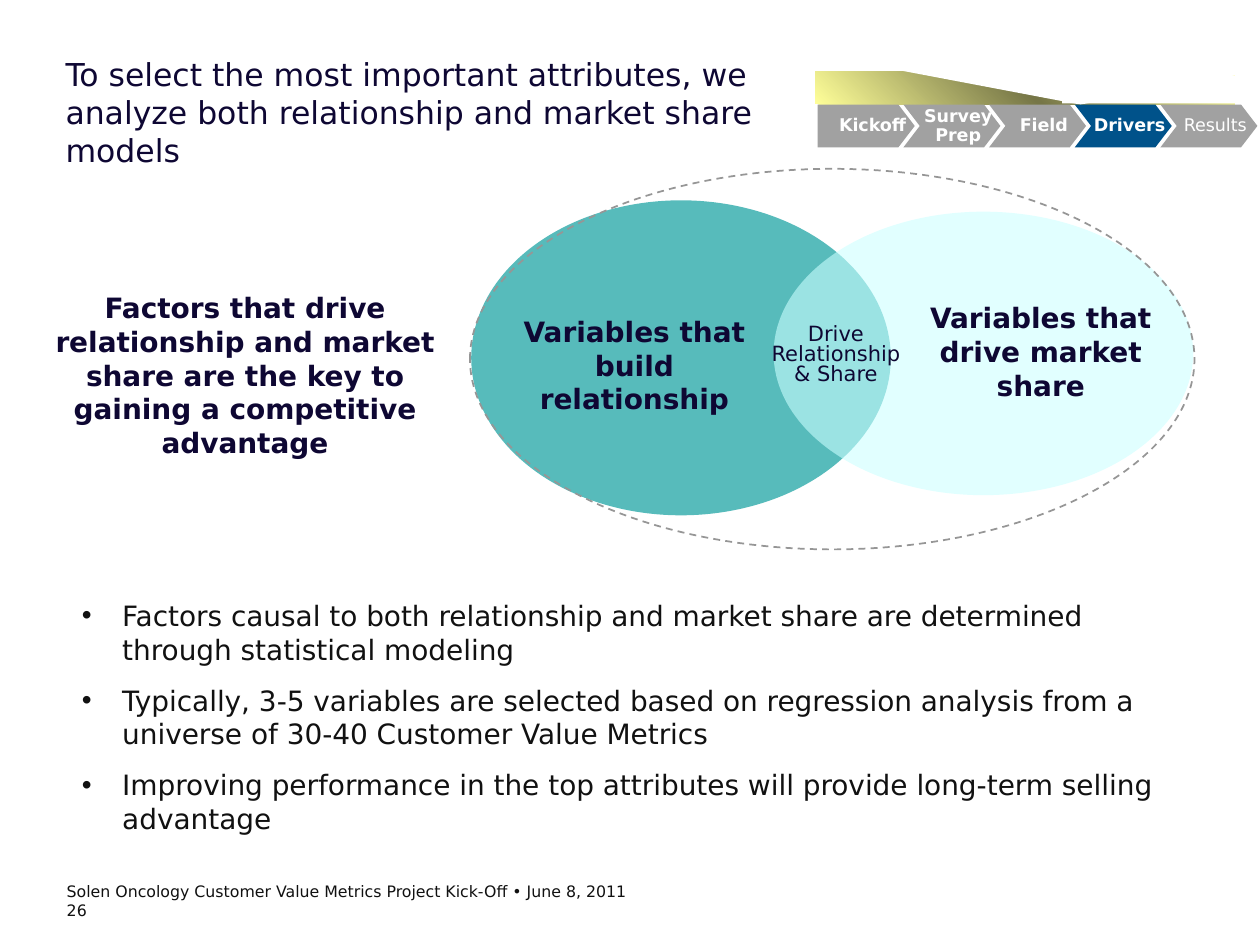
import copy

import lxml.etree
import pptx
import pptx.dml.color
import pptx.enum.dml
import pptx.enum.shapes
import pptx.enum.text
import pptx.oxml.ns
import pptx.util

Inches, Pt = pptx.util.Inches, pptx.util.Pt
RGBColor = pptx.dml.color.RGBColor
SHAPE = pptx.enum.shapes.MSO_SHAPE
ALIGN = pptx.enum.text.PP_ALIGN
ANCHOR = pptx.enum.text.MSO_ANCHOR
qn = pptx.oxml.ns.qn

FONT = "DejaVu Sans"
NAVY = RGBColor(0x0E, 0x07, 0x33)
BLACK = RGBColor(0x11, 0x11, 0x11)
WHITE = RGBColor(0xFF, 0xFF, 0xFF)
TEAL = RGBColor(0x00, 0x99, 0x99)
AQUA = RGBColor(0xCC, 0xFF, 0xFF)
GRAY = RGBColor(0xA1, 0xA1, 0xA1)
DASH_GRAY = RGBColor(0x96, 0x96, 0x96)
BLUE = RGBColor(0x00, 0x52, 0x8A)
YELLOW = RGBColor(0xFF, 0xFF, 0x99)
OLIVE = RGBColor(0x76, 0x76, 0x47)


def write(tf, text, size=16, color=NAVY, bold=False, align=ALIGN.LEFT, margins=(0, 0, 0, 0),
          anchor=ANCHOR.TOP, wrap=True, before=0, spacing=None, left=0, hanging=0):
    """Fill a text frame, one paragraph per line of text; margins run left, top, right, bottom."""
    tf.auto_size = pptx.enum.text.MSO_AUTO_SIZE.NONE
    tf.word_wrap = wrap
    tf.vertical_anchor = anchor
    tf.margin_left, tf.margin_top, tf.margin_right, tf.margin_bottom = map(Inches, margins)
    for i, line in enumerate(text.split("\n")):
        p = tf.add_paragraph() if i else tf.paragraphs[0]
        p.alignment = align
        p.space_before = Pt(before if i else 0)
        if spacing:
            p.line_spacing = spacing
        pPr = p._p.get_or_add_pPr()
        pPr.set("marL", str(Inches(left)))
        pPr.set("indent", str(Inches(-hanging)))
        r = p.add_run()
        r.text = line
        r.font.name, r.font.size, r.font.bold = FONT, Pt(size), bold
        r.font.color.rgb = color


def paint(s, color=None, opacity=None):
    """Give a shape a flat fill (or none), with no outline or shadow."""
    s.shadow.inherit = False
    s.line.fill.background()
    if color is None:
        s.fill.background()
        return
    s.fill.solid()
    s.fill.fore_color.rgb = color
    if opacity:
        rgb = s._element.spPr.find(qn("a:solidFill")).find(qn("a:srgbClr"))
        lxml.etree.SubElement(rgb, qn("a:alpha")).set("val", str(opacity * 1000))


prs = pptx.Presentation()
prs.slide_width, prs.slide_height = Inches(10), Inches(7.5)
slide = prs.slides.add_slide(prs.slide_layouts[1])
shapes = slide.shapes

# Title and bullets
title, body = slide.placeholders
title.left, title.top, title.width, title.height = map(Inches, (0.52, 0.44, 5.95, 1))
write(title.text_frame, "To select the most important attributes, we analyze both "
      "relationship and market share models", size=18)
body.left, body.top, body.width, body.height = map(Inches, (0.65, 4.75, 8.85, 1.88))
write(body.text_frame,
      "Factors causal to both relationship and market share are determined through "
      "statistical modeling\n"
      "Typically, 3-5 variables are selected based on regression analysis from a "
      "universe of 30-40 Customer Value Metrics\n"
      "Improving performance in the top attributes will provide long-term selling advantage",
      color=BLACK, before=10, left=0.32, hanging=0.32)

# Venn diagram
for box, color, opacity in [((3.74, 1.59, 3.33, 2.5), TEAL, 66),
                            ((6.14, 1.68, 3.33, 2.25), AQUA, 59),
                            ((3.73, 1.34, 5.75, 3.02), None, None)]:
    s = shapes.add_shape(SHAPE.OVAL, *map(Inches, box))
    paint(s, color, opacity)
s.line.color.rgb = DASH_GRAY
s.line.width = Pt(1)
s.line.dash_style = pptx.enum.dml.MSO_LINE.DASH

# Labels and footer
label = dict(bold=True, align=ALIGN.CENTER, margins=(0.1, 0.05, 0.1, 0.05))
for box, text, style in [
    ((3.95, 2.45, 2.17, 0.9), "Variables that build relationship", label),
    ((7.15, 2.34, 2.22, 0.9), "Variables that drive market share", label),
    ((0.3, 2.26, 3.29, 1.44), "Factors that drive relationship and market share are the key "
     "to gaining a competitive advantage", label),
    ((5.87, 2.48, 1.53, 0.58), "Drive Relationship & Share",
     dict(size=12, align=ALIGN.CENTER, margins=(0.2, 0.1, 0.2, 0), spacing=0.8)),
    ((0.53, 7, 7.5, 0.35), "Solen Oncology Customer Value Metrics Project Kick-Off • "
     "June 8, 2011\n26", dict(size=9, color=BLACK)),
]:
    write(shapes.add_textbox(*map(Inches, box)).text_frame, text, **style)

# Gradient wedge above the process steps, trimmed by white shapes
s = shapes.add_shape(SHAPE.RECTANGLE, *map(Inches, (6.47, 0.57, 3.33, 0.26)))
paint(s)
s.fill.gradient()
s.fill.gradient_angle = 45
stops = s._element.spPr.find(qn("a:gradFill")).find(qn("a:gsLst"))
stops.insert(1, copy.deepcopy(stops[0]))
for stop, position, color in zip(s.fill.gradient_stops, (0, 0.5, 1), (YELLOW, OLIVE, YELLOW)):
    stop.position = position
    stop.color.rgb = color
s = shapes.add_shape(SHAPE.ISOSCELES_TRIANGLE, *map(Inches, (7.15, 0.56, 2.85, 0.27)))
s.rotation = 180
paint(s, WHITE)
s = shapes.add_shape(SHAPE.RECTANGLE, *map(Inches, (8.43, 0.6, 1.57, 0.22)))
paint(s, WHITE)

# Process steps
STEP_LEFT, STEP_PITCH, STEP_TOP, STEP_BOTTOM = 6.49, 0.68, 0.83, 1.17
STEP_BODY, STEP_POINT = 0.64, 0.13
for i, text in enumerate(["Kickoff", "Survey\nPrep", "Field", "Drivers", "Results"]):
    x = STEP_LEFT + i * STEP_PITCH
    middle = (STEP_TOP + STEP_BOTTOM) / 2
    outline = [(x + STEP_BODY, STEP_TOP), (x + STEP_BODY + STEP_POINT, middle),
               (x + STEP_BODY, STEP_BOTTOM), (x, STEP_BOTTOM)]
    if i:
        outline.append((x + STEP_POINT, middle))
    builder = shapes.build_freeform(Inches(x), Inches(STEP_TOP))
    builder.add_line_segments([(Inches(px), Inches(py)) for px, py in outline], close=True)
    s = builder.convert_to_shape()
    paint(s, BLUE if text == "Drivers" else GRAY)
    write(s.text_frame, text, size=10, color=WHITE, bold=text != "Results",
          align=ALIGN.CENTER, anchor=ANCHOR.MIDDLE, wrap=False, margins=(0.05,) * 4,
          spacing=0.9, left=0.1)

prs.save("out.pptx")
